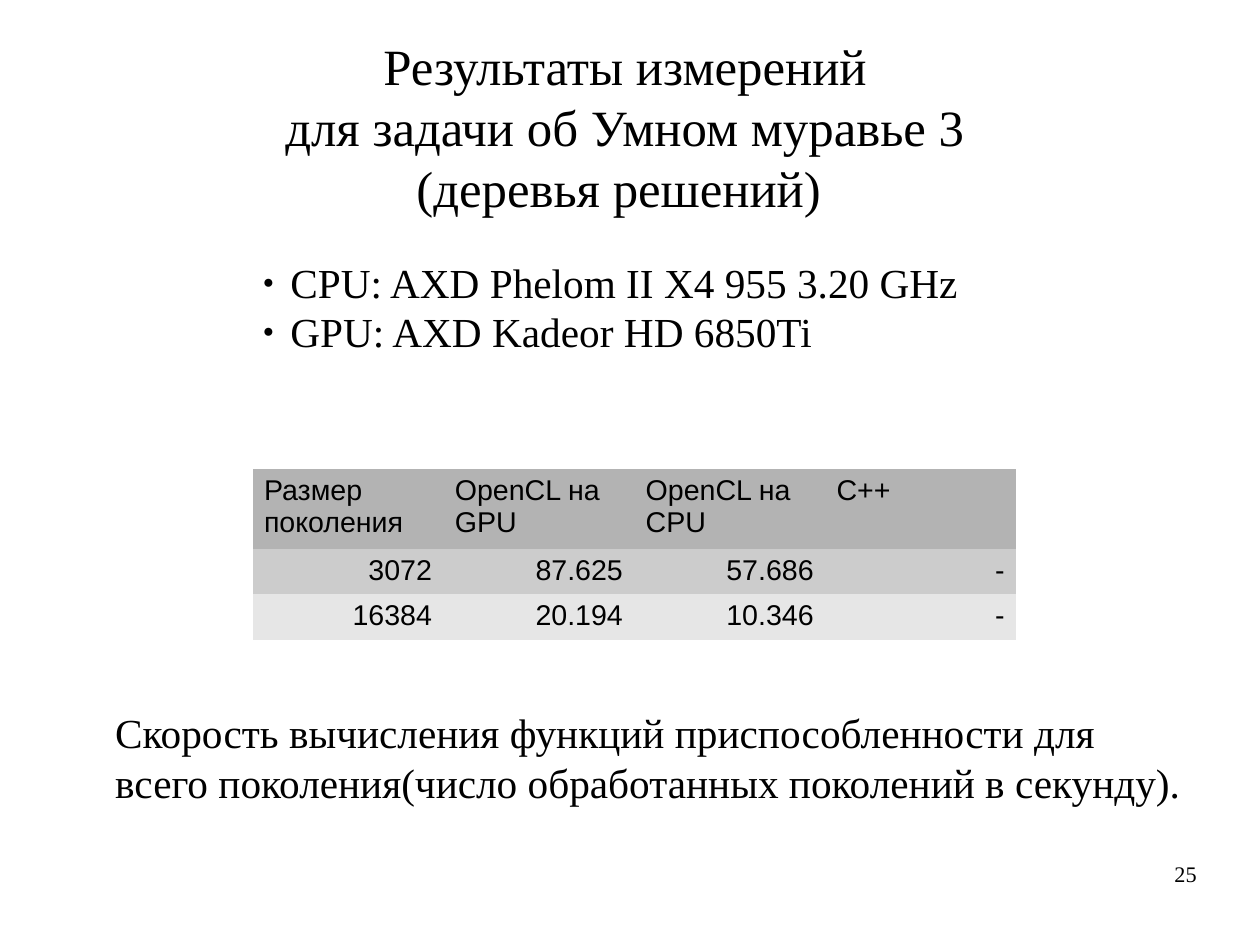
from dataclasses import dataclass

from lxml import etree
from pptx import Presentation
from pptx.dml.color import RGBColor
from pptx.enum.text import MSO_ANCHOR, MSO_AUTO_SIZE, PP_ALIGN
from pptx.oxml.ns import qn
from pptx.util import Inches, Pt

LEFT, CENTER, RIGHT = PP_ALIGN.LEFT, PP_ALIGN.CENTER, PP_ALIGN.RIGHT
TOP = MSO_ANCHOR.TOP
NO_AUTOFIT = MSO_AUTO_SIZE.NONE
SERIF, SANS = "Times New Roman", "Arial"
BLACK = "000000"
PLAIN_TABLE = "{2D5ABB26-0587-4C30-8999-92F81FD0307C}"
BULLET_INDENT = Inches(0.24)
CM_PER_INCH = 2.54
SLIDE_WIDTH, SLIDE_HEIGHT = Inches(28 / CM_PER_INCH), Inches(21 / CM_PER_INCH)


@dataclass
class TextBlock:
    box: tuple[float, float, float, float]
    lines: list[str]
    size: int
    align: PP_ALIGN = LEFT
    bulleted: bool = False
    margins: tuple[float, float] = (0.1, 0.05)


@dataclass
class TableRow:
    height: float
    fill: str
    align: PP_ALIGN
    values: list[str]


TITLE = TextBlock(
    (2.39, 0.25, 6.16, 1.58),
    ["Результаты измерений", "для задачи об Умном муравье 3", "(деревья решений) "],
    32, CENTER)
HARDWARE = TextBlock(
    (2.2, 2.2, 6.52, 1.32),
    ["CPU: AXD Phelom II X4 955 3.20 GHz", "GPU: AXD Kadeor HD 6850Ti"],
    26, bulleted=True)
CAPTION = TextBlock(
    (0.91, 6.14, 9.6, 1.18),
    ["Скорость вычисления функций приспособленности для",
     "всего поколения(число обработанных поколений в секунду)."],
    26)
PAGE_NUMBER = TextBlock((7.9, 7.53, 2.57, 0.57), ["25"], 14, RIGHT, margins=(0, 0))

COLUMN_WIDTH = 1.67
ROWS = [
    TableRow(0.7, "B3B3B3", LEFT,
             ["Размер поколения", "OpenCL на GPU", "OpenCL на СPU", "C++"]),
    TableRow(0.4, "CCCCCC", RIGHT, ["3072", "87.625", "57.686", "-"]),
    TableRow(0.4, "E6E6E6", RIGHT, ["16384", "20.194", "10.346", "-"]),
]


def color(value: str) -> RGBColor:
    return RGBColor.from_string(value)


def add_run(p, text: str, size: int, font: str) -> None:
    r = p.add_run()
    r.text = text
    r.font.size = Pt(size)
    r.font.name = font
    r.font.color.rgb = color(BLACK)


def add_bullet(p) -> None:
    pPr = p._p.get_or_add_pPr()
    pPr.set("marL", str(BULLET_INDENT))
    pPr.set("indent", str(-BULLET_INDENT))
    bullet_color = etree.SubElement(pPr, qn("a:buClr"))
    etree.SubElement(bullet_color, qn("a:srgbClr"), val=BLACK)
    etree.SubElement(pPr, qn("a:buSzPct"), val="45000")
    etree.SubElement(pPr, qn("a:buChar"), char="●")


def fill_text(sp, block: TextBlock) -> None:
    sp.left, sp.top, sp.width, sp.height = map(Inches, block.box)
    tf = sp.text_frame
    tf.word_wrap = True
    tf.auto_size = NO_AUTOFIT
    tf.vertical_anchor = TOP
    tf.margin_left = tf.margin_right = Inches(block.margins[0])
    tf.margin_top = tf.margin_bottom = Inches(block.margins[1])
    for i, line in enumerate(block.lines):
        p = tf.add_paragraph() if i else tf.paragraphs[0]
        p.alignment = block.align
        p.space_before = p.space_after = Pt(0)
        if block.bulleted:
            add_bullet(p)
        add_run(p, line, block.size, SERIF)


def add_text(s, block: TextBlock) -> None:
    fill_text(s.shapes.add_textbox(*map(Inches, block.box)), block)


def add_results(s, left: float, top: float, rows: list[TableRow]) -> None:
    columns = len(rows[0].values)
    height = sum(row.height for row in rows)
    table = s.shapes.add_table(
        len(rows), columns, Inches(left), Inches(top),
        Inches(columns * COLUMN_WIDTH), Inches(height)).table
    table._tbl.tblPr.find(qn("a:tableStyleId")).text = PLAIN_TABLE
    table.first_row = table.horz_banding = False
    for column in table.columns:
        column.width = Inches(COLUMN_WIDTH)
    for i, row in enumerate(rows):
        table.rows[i].height = Inches(row.height)
        for j, value in enumerate(row.values):
            cell = table.cell(i, j)
            cell.fill.solid()
            cell.fill.fore_color.rgb = color(row.fill)
            p = cell.text_frame.paragraphs[0]
            p.alignment = row.align
            add_run(p, value, 18, SANS)


def main() -> None:
    prs = Presentation()
    prs.slide_width, prs.slide_height = SLIDE_WIDTH, SLIDE_HEIGHT
    s = prs.slides.add_slide(prs.slide_layouts[1])
    fill_text(s.shapes.title, TITLE)
    fill_text(s.placeholders[1], HARDWARE)
    add_text(s, CAPTION)
    add_results(s, 2.21, 4.1, ROWS)
    add_text(s, PAGE_NUMBER)
    prs.save("out.pptx")


if __name__ == "__main__":
    main()
